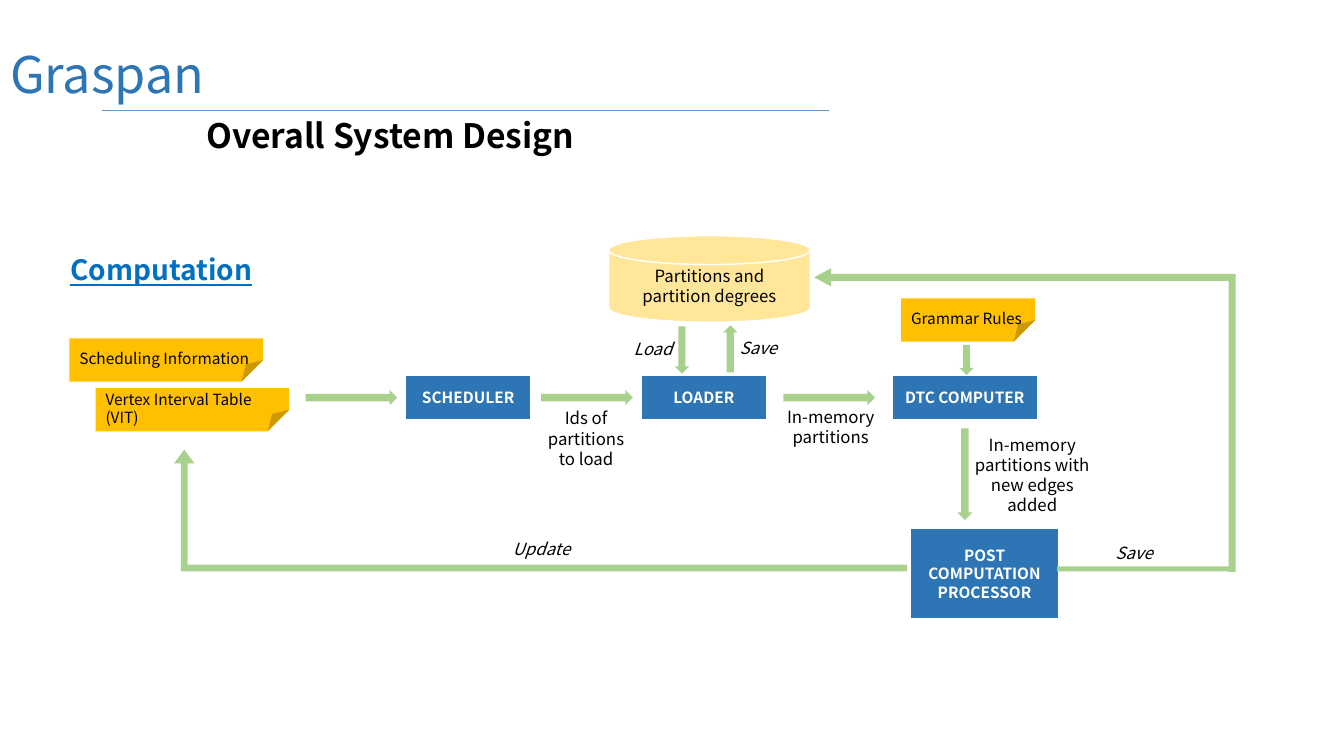
from dataclasses import dataclass

from lxml import etree
from pptx import Presentation
from pptx.dml.color import RGBColor
from pptx.enum.shapes import MSO_CONNECTOR, MSO_SHAPE
from pptx.enum.text import MSO_ANCHOR, PP_ALIGN
from pptx.oxml.ns import qn
from pptx.util import Cm, Pt

PROCESS = MSO_SHAPE.FLOWCHART_PROCESS
NOTE = MSO_SHAPE.FOLDED_CORNER
DISK = MSO_SHAPE.FLOWCHART_MAGNETIC_DISK
ARROW = MSO_SHAPE.RIGHT_ARROW
BENT = MSO_SHAPE.BENT_ARROW
RECT = MSO_SHAPE.RECTANGLE
TOP, MIDDLE = MSO_ANCHOR.TOP, MSO_ANCHOR.MIDDLE
LEFT, CENTER = PP_ALIGN.LEFT, PP_ALIGN.CENTER

FONT = "Noto Sans CJK TC"
BLUE, GREEN, GOLD, CREAM = "2E75B6", "A9D18E", "FFC000", "FFE699"
BLACK, WHITE, LINK_BLUE, RULE_BLUE = "000000", "FFFFFF", "0070C0", "5B9BD5"


@dataclass
class Box:
    """Position and size in centimetres."""
    x: float
    y: float
    w: float
    h: float

    def lengths(self):
        return Cm(self.x), Cm(self.y), Cm(self.w), Cm(self.h)


@dataclass
class Note:
    text: str
    box: Box
    top_inset: float


@dataclass
class Arrow:
    box: Box
    rotation: int = 0


@dataclass
class Label:
    text: str
    box: Box
    size: float = 12
    color: str = BLACK
    bold: bool = False
    italic: bool = False
    underline: bool = False
    align: PP_ALIGN = LEFT
    wrap: bool = True


def rgb(color: str) -> RGBColor:
    return RGBColor.from_string(color)


def write(sp, text: str, size: float, color: str, align=LEFT, anchor=TOP,
          bold=False, italic=False, underline=False, wrap=True):
    tf = sp.text_frame
    tf.text = text
    tf.word_wrap = wrap
    tf.vertical_anchor = anchor
    p = tf.paragraphs[0]
    p.alignment = align
    p.font.name, p.font.size = FONT, Pt(size)
    p.font.bold, p.font.italic, p.font.underline = bold, italic, underline
    p.font.color.rgb = rgb(color)
    return tf


def set_guides(sp, **guides: float):
    """Write the named shape adjustments, given as fractions."""
    geometry = sp._element.spPr.find(qn("a:prstGeom"))
    for old in geometry.findall(qn("a:avLst")):
        geometry.remove(old)
    values = etree.SubElement(geometry, qn("a:avLst"))
    for name, value in guides.items():
        etree.SubElement(values, qn("a:gd"), name=name,
                         fmla=f"val {round(value * 100000)}")


def add_block(slide, kind, box: Box, fill: str, rotation=0):
    sp = slide.shapes.add_shape(kind, *box.lengths())
    sp.shadow.inherit = False
    sp.fill.solid()
    sp.fill.fore_color.rgb = rgb(fill)
    sp.line.fill.background()
    sp.rotation = rotation
    return sp


def add_note(slide, note: Note):
    sp = add_block(slide, NOTE, note.box, GOLD)
    set_guides(sp, adj=0.5)
    tf = write(sp, note.text, 11, BLACK)
    tf.margin_top, tf.margin_bottom = Cm(note.top_inset), 0


def add_label(slide, label: Label):
    sp = slide.shapes.add_textbox(*label.box.lengths())
    write(sp, label.text, label.size, label.color, label.align, TOP,
          label.bold, label.italic, label.underline, label.wrap)


ROW_Y, ROW_H = 9.47, 1.09
STEPS = [
    ("SCHEDULER", Box(10.24, ROW_Y, 3.12, ROW_H)),
    ("LOADER", Box(16.18, ROW_Y, 3.12, ROW_H)),
    ("DTC COMPUTER", Box(22.5, ROW_Y, 3.63, ROW_H)),
    ("POST COMPUTATION PROCESSOR", Box(22.96, 13.34, 3.71, 2.24)),
]
NOTES = [
    Note("Vertex Interval Table (VIT)", Box(2.41, 9.78, 4.88, ROW_H), 0.05),
    Note("Scheduling Information", Box(1.75, 8.53, 4.88, ROW_H), 0.26),
    Note("Grammar Rules", Box(22.71, 7.52, 3.38, ROW_H), 0.26),
]
ARROWS = [Arrow(Box(x, 9.83, 2.31, 0.38)) for x in (7.7, 13.64, 19.74)] + [
    Arrow(Box(16.59, 8.64, 1.19, 0.36), 90),
    Arrow(Box(17.81, 8.61, 1.19, 0.36), 270),
    Arrow(Box(23.98, 8.89, 0.76, 0.36), 90),
    Arrow(Box(23.16, 11.76, 2.31, 0.38), 90),
]
LABELS = [
    Label("Overall System Design", Box(4.95, 2.77, 16.87, 1.27), 24, bold=True),
    Label("Computation", Box(1.52, 6.25, 6.55, 1.12), 20, LINK_BLUE,
          bold=True, underline=True),
    Label("Ids of partitions to load", Box(13.46, 10.16, 2.62, 1.8), align=CENTER),
    Label("In-memory partitions", Box(19.41, 10.13, 3.05, 1.27), align=CENTER),
    Label("In-memory partitions with new edges added",
          Box(24.21, 10.82, 3.61, 2.31), align=CENTER),
] + [Label(text, box, italic=True, wrap=False) for text, box in (
    ("Load", Box(15.72, 8.41, 1.52, 0.76)),
    ("Save", Box(18.39, 8.38, 1.47, 0.76)),
    ("Update", Box(12.67, 13.46, 2.03, 0.76)),
    ("Save", Box(27.86, 13.54, 1.47, 0.76)),
)]


def main():
    prs = Presentation()
    prs.slide_width, prs.slide_height = Cm(33.87), Cm(19.05)
    slide = prs.slides.add_slide(prs.slide_layouts[5])

    # Title and rule
    title = slide.shapes.title
    title.left, title.top, title.width, title.height = Box(0, 0.97, 16.87, 1.8).lengths()
    write(title, "Graspan", 36, BLUE)
    rule = slide.shapes.add_connector(
        MSO_CONNECTOR.STRAIGHT, Cm(2.57), Cm(2.77), Cm(20.88), Cm(2.77))
    rule.line.color.rgb = rgb(RULE_BLUE)
    rule.line.width = Pt(0.5)
    etree.SubElement(rule._element.spPr, qn("a:effectLst"))

    # Processing steps, notes and storage
    for text, box in STEPS:
        write(add_block(slide, PROCESS, box, BLUE), text, 11, WHITE,
              CENTER, MIDDLE, bold=True)
    for note in NOTES:
        add_note(slide, note)
    disk = add_block(slide, DISK, Box(15.34, 5.94, 5.08, 2.18), CREAM)
    disk.line.color.rgb = rgb(WHITE)
    disk.line.width = Pt(1)
    write(disk, "Partitions and partition degrees", 12, BLACK, CENTER, MIDDLE)

    # Flow arrows
    for arrow in ARROWS:
        add_block(slide, ARROW, arrow.box, GREEN, arrow.rotation)

    # Update and save loops
    update_loop = add_block(slide, BENT, Box(12.09, 3.63, 3.07, 18.47), GREEN, 270)
    set_guides(update_loop, adj1=0.056, adj2=0.083, adj3=0.112, adj4=0)
    save_loop = add_block(slide, BENT, Box(20.52, 6.76, 10.62, 7.65), GREEN)
    set_guides(save_loop, adj1=0.023, adj2=0.03, adj3=0.056, adj4=0)
    save_loop._element.spPr.find(qn("a:xfrm")).set("flipH", "1")
    add_block(slide, RECT, Box(26.64, 14.27, 4.45, 0.13), GREEN)

    # Headings and arrow labels
    for label in LABELS:
        add_label(slide, label)

    prs.save("out.pptx")


if __name__ == "__main__":
    main()
